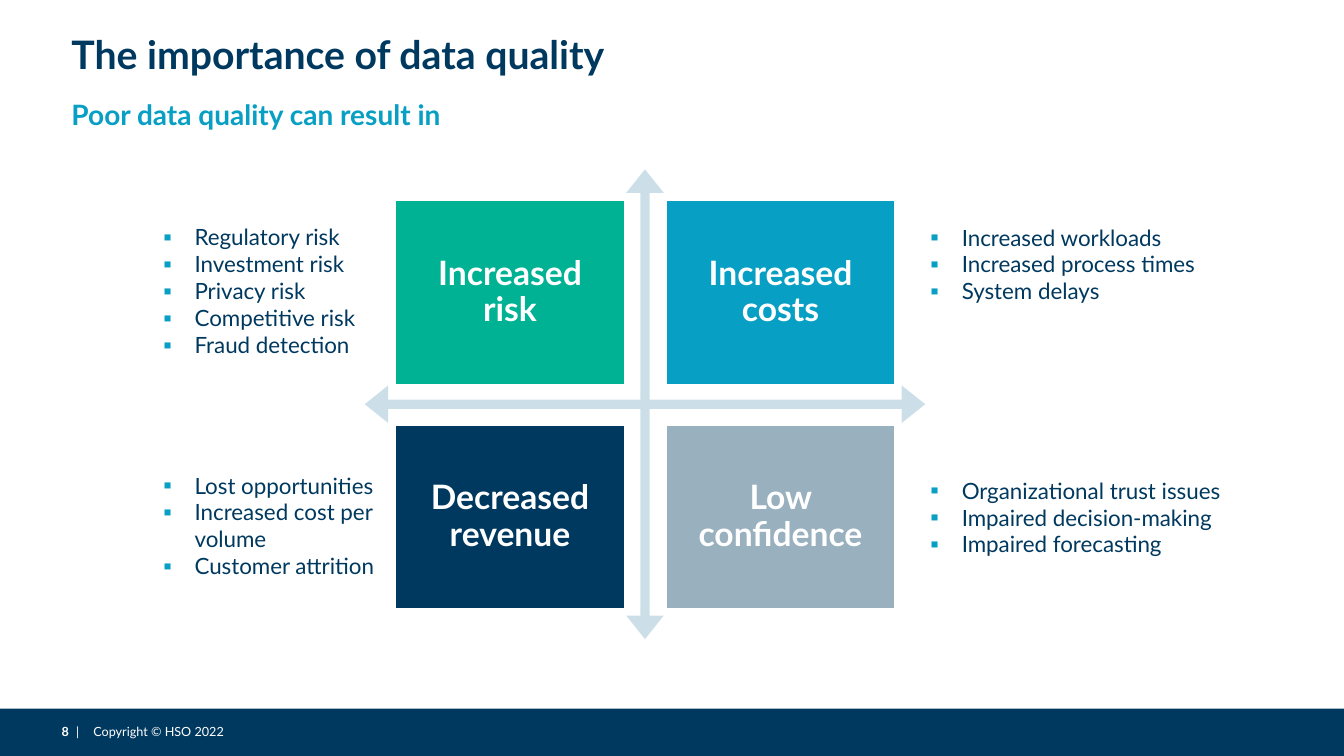
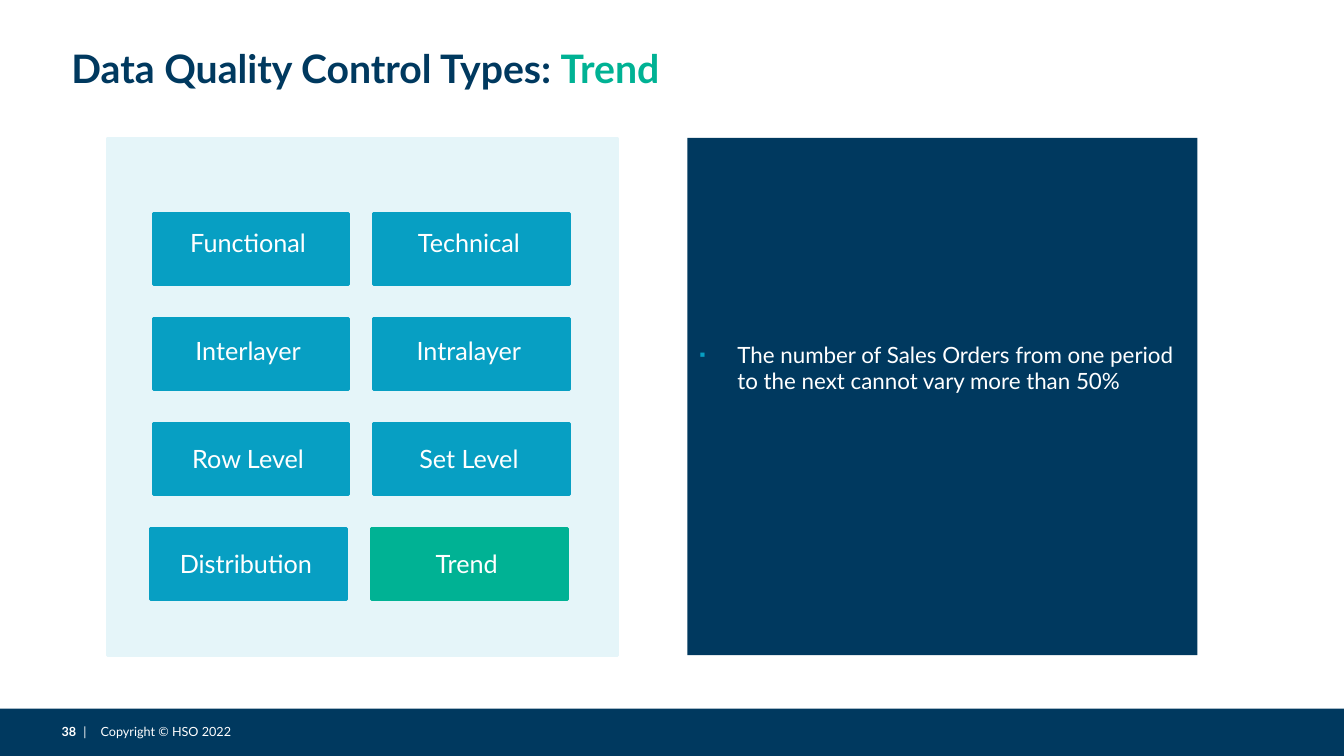
from dataclasses import dataclass

from lxml import etree
from pptx import Presentation
from pptx.dml.color import RGBColor
from pptx.enum.shapes import MSO_SHAPE
from pptx.enum.text import MSO_ANCHOR, PP_ALIGN
from pptx.oxml.ns import qn
from pptx.util import Pt

RECTANGLE = MSO_SHAPE.RECTANGLE
QUAD_ARROW = MSO_SHAPE.QUAD_ARROW
TOP, MIDDLE = MSO_ANCHOR.TOP, MSO_ANCHOR.MIDDLE
LEFT, CENTER = PP_ALIGN.LEFT, PP_ALIGN.CENTER


@dataclass(frozen=True)
class Theme:
    font: str = "Lato"
    navy: str = "00395F"
    blue: str = "079FC3"
    green: str = "00B294"
    gray: str = "99B0BF"
    arrow: str = "CCDFE9"
    pale: str = "E5F5F9"
    white: str = "FFFFFF"
    title_size: int = 28
    quadrant_size: int = 24
    subtitle_size: int = 20
    control_size: int = 18
    body_size: int = 16
    footer_size: int = 9


THEME = Theme()
SLIDE_WIDTH, SLIDE_HEIGHT = 960, 540
MARGIN = 44
BAND_TOP = 506.2
BOX_INSETS = (7.2, 3.6, 7.2, 3.6)

# Quadrant: heading, colour, top of its list, list items; read row by row
QUADRANTS = [
    ("Increased risk", THEME.green, 156.2,
     ["Regulatory risk", "Investment risk", "Privacy risk",
      "Competitive risk", "Fraud detection"]),
    ("Increased costs", THEME.blue, 156.2,
     ["Increased workloads", "Increased process times", "System delays"]),
    ("Decreased revenue", THEME.navy, 333.4,
     ["Lost opportunities", "Increased cost per volume", "Customer attrition"]),
    ("Low confidence", THEME.gray, 337,
     ["Organizational trust issues", "Impaired decision-making",
      "Impaired forecasting"]),
]
# Left and right control type, row shift, lift of the labels above the middle
CONTROL_ROWS = [
    ("Functional", "Technical", 0, 4.3),
    ("Interlayer", "Intralayer", 0, 2.2),
    ("Row Level", "Set Level", 0, 0),
    ("Distribution", "Trend", -1.6, 0),
]
CURRENT_CONTROL = "Trend"


def color(code):
    return RGBColor.from_string(code)


def set_font(font, size, code, bold=False):
    font.name = THEME.font
    font.size = Pt(size)
    font.bold = bold
    font.color.rgb = color(code)


def set_frame(frame, insets, anchor):
    """Apply left, top, right and bottom insets, wrapping and anchor."""
    frame.word_wrap = True
    frame.vertical_anchor = anchor
    (frame.margin_left, frame.margin_top,
     frame.margin_right, frame.margin_bottom) = map(Pt, insets)


def add_box(slide, left, top, width, height, fill, line=None, kind=RECTANGLE):
    box = slide.shapes.add_shape(kind, Pt(left), Pt(top), Pt(width), Pt(height))
    box.shadow.inherit = False
    box.fill.solid()
    box.fill.fore_color.rgb = color(fill)
    if line:
        box.line.color.rgb = color(line)
        box.line.width = Pt(2)
    else:
        box.line.fill.background()
    return box


def add_text_frame(slide, left, top, width, height,
                   insets=BOX_INSETS, anchor=TOP):
    frame = slide.shapes.add_textbox(
        Pt(left), Pt(top), Pt(width), Pt(height)).text_frame
    set_frame(frame, insets, anchor)
    return frame


def write_line(frame, text, size, code, bold=False, align=LEFT, spacing=1.0):
    paragraph = frame.paragraphs[0]
    paragraph.text = text
    paragraph.alignment = align
    paragraph.line_spacing = spacing
    set_font(paragraph.font, size, code, bold)


def add_bullet(paragraph, indent, percent):
    properties = paragraph._p.get_or_add_pPr()
    properties.set("marL", str(Pt(indent)))
    properties.set("indent", str(-Pt(indent)))
    bullet_color = etree.SubElement(properties, qn("a:buClr"))
    etree.SubElement(bullet_color, qn("a:srgbClr"), val=THEME.blue)
    etree.SubElement(properties, qn("a:buSzPct"), val=str(percent * 1000))
    etree.SubElement(properties, qn("a:buFont"), typeface=THEME.font)
    etree.SubElement(properties, qn("a:buChar"), char="▪")


def write_bullets(frame, items, code, indent=22.5, percent=100):
    for index, item in enumerate(items):
        paragraph = frame.add_paragraph() if index else frame.paragraphs[0]
        paragraph.text = item
        paragraph.alignment = LEFT
        add_bullet(paragraph, indent, percent)
        set_font(paragraph.font, THEME.body_size, code)


def add_tab_stops(paragraph, positions):
    stops = etree.SubElement(paragraph._p.get_or_add_pPr(), qn("a:tabLst"))
    for position in positions:
        etree.SubElement(stops, qn("a:tab"), pos=str(Pt(position)), algn="l")


def add_title(slide, top, parts):
    """Write the title from (text, colour) parts."""
    frame = add_text_frame(slide, MARGIN, top, 872, 39.6, anchor=MIDDLE)
    paragraph = frame.paragraphs[0]
    set_font(paragraph.font, THEME.title_size, THEME.navy, bold=True)
    for text, code in parts:
        run = paragraph.add_run()
        run.text = text
        run.font.color.rgb = color(code)


def add_footer(slide, number):
    add_box(slide, 0, BAND_TOP, SLIDE_WIDTH, SLIDE_HEIGHT - BAND_TOP, THEME.navy)
    frame = add_text_frame(slide, MARGIN, 517, 200, 10.8, (0, 0, 0, 0), MIDDLE)
    paragraph = frame.paragraphs[0]
    bar_stop = 5.2 * (len(number) + 1)
    add_tab_stops(paragraph, (bar_stop, bar_stop + 12.3))
    set_font(paragraph.font, THEME.footer_size, THEME.white)
    for text, bold in ((number, True), ("\t|\tCopyright © HSO 2022", False)):
        run = paragraph.add_run()
        run.text = text
        run.font.bold = bold


def add_slide(deck, number, title_top, title_parts):
    slide = deck.slides.add_slide(deck.slide_layouts[6])
    add_footer(slide, number)
    add_title(slide, title_top, title_parts)
    return slide


def add_quadrants(slide):
    cross = add_box(slide, 260.6, 121, 400.3, 335.5, THEME.arrow,
                    kind=QUAD_ARROW)
    for index, ratio in enumerate((0.02, 0.04, 0.05)):
        cross.adjustments[index] = ratio
    list_spans = ((109.4, 180.7), (657.4, 227.5))
    for index, (heading, fill, list_top, items) in enumerate(QUADRANTS):
        row, column = divmod(index, 2)
        tile = add_box(slide, 282.2 + 193.2 * column, 142.6 + 160.6 * row,
                       164.2, 132.5, fill, THEME.white)
        set_frame(tile.text_frame, (17, 15, 17, 15), MIDDLE)
        write_line(tile.text_frame, heading, THEME.quadrant_size, THEME.white,
                   bold=True, align=CENTER, spacing=0.9)
        list_left, list_width = list_spans[column]
        frame = add_text_frame(slide, list_left, list_top, list_width,
                               7.2 + 19.4 * len(items))
        write_bullets(frame, items, THEME.navy)


def add_control_types(slide):
    add_box(slide, 77, 98.6, 364.3, 369.4, THEME.pale, THEME.pale)
    for row, (*labels, shift, lift) in enumerate(CONTROL_ROWS):
        for column, label in enumerate(labels):
            fill = THEME.green if label == CURRENT_CONTROL else THEME.blue
            tile = add_box(slide, 109.4 + 157.7 * column + shift,
                           152.6 + 75 * row, 139.7, 50.4, fill, fill)
            set_frame(tile.text_frame, (0, 0, 4, 2 * lift), MIDDLE)
            write_line(tile.text_frame, label, THEME.control_size, THEME.white,
                       align=CENTER)


def add_rule_panel(slide, rule):
    panel = add_box(slide, 491, 98.6, 364.3, 369.4, THEME.navy)
    set_frame(panel.text_frame, (8.6, 8.6, 8.6, 50), MIDDLE)
    write_bullets(panel.text_frame, [rule], THEME.white, indent=27.2, percent=70)


def build_importance(deck):
    slide = add_slide(deck, "8", 18.9,
                      [("The importance of data quality", THEME.navy)])
    subtitle = add_text_frame(slide, MARGIN, 61.2, 596, 36)
    write_line(subtitle, "Poor data quality can result in",
               THEME.subtitle_size, THEME.blue, bold=True, spacing=1.2)
    add_quadrants(slide)


def build_trend_control(deck):
    slide = add_slide(deck, "38", 28.3,
                      [("Data Quality Control Types: ", THEME.navy),
                       (CURRENT_CONTROL, THEME.green)])
    add_control_types(slide)
    add_rule_panel(slide, "The number of Sales Orders from one period "
                          "to the next cannot vary more than 50%")


def main():
    deck = Presentation()
    deck.slide_width, deck.slide_height = Pt(SLIDE_WIDTH), Pt(SLIDE_HEIGHT)
    build_importance(deck)
    build_trend_control(deck)
    deck.save("out.pptx")


if __name__ == "__main__":
    main()
